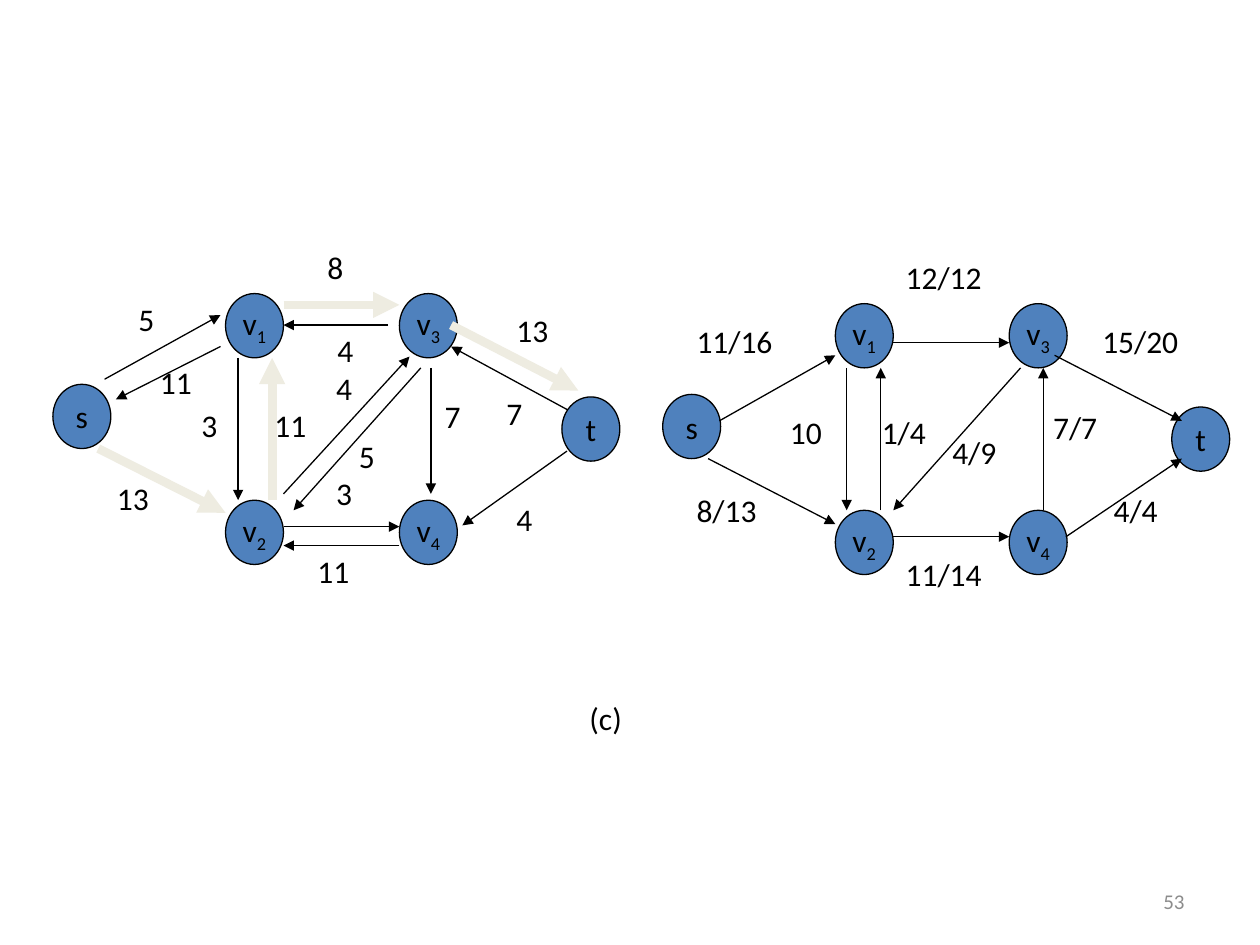
from lxml.etree import SubElement
from pptx import Presentation
from pptx.dml.color import RGBColor
from pptx.enum.shapes import MSO_CONNECTOR, MSO_SHAPE
from pptx.enum.text import MSO_ANCHOR, PP_ALIGN
from pptx.oxml.ns import qn
from pptx.util import Inches, Pt

BLACK = RGBColor(0x00, 0x00, 0x00)
BLUE = RGBColor(0x4F, 0x81, 0xBD)
CREAM = RGBColor(0xEE, 0xEC, 0xE1)
GREY = RGBColor(0x8C, 0x8C, 0x8C)

presentation = Presentation()
presentation.slide_width = Inches(10)
presentation.slide_height = Inches(7.5)
slide = presentation.slides.add_slide(presentation.slide_layouts[6])


def format_run(run, size=18, color=BLACK):
    run.font.name = "Calibri"
    run.font.size = Pt(size)
    run.font.color.rgb = color


def add_arrow(start_x, start_y, end_x, end_y, color, width):
    arrow = slide.shapes.add_connector(
        MSO_CONNECTOR.STRAIGHT,
        Inches(start_x), Inches(start_y), Inches(end_x), Inches(end_y))
    arrow.line.color.rgb = color
    arrow.line.width = Pt(width)
    SubElement(arrow.line._get_or_add_ln(), qn("a:tailEnd"), type="triangle")
    SubElement(arrow._element.spPr, qn("a:effectLst"))


nodes = [
    ("s", "", 0.42, 3.05),
    ("v", "2", 1.79, 3.97),
    ("v", "4", 3.17, 3.97),
    ("t", "", 4.46, 3.15),
    ("v", "3", 3.17, 2.33),
    ("v", "1", 1.79, 2.33),
]
for graph_x, graph_y in [(0, 0), (4.84, 0.08)]:
    for name, index, left, top in nodes:
        node = slide.shapes.add_shape(
            MSO_SHAPE.OVAL, Inches(graph_x + left), Inches(graph_y + top),
            Inches(0.46), Inches(0.51))
        node.shadow.inherit = False
        node.fill.solid()
        node.fill.fore_color.rgb = BLUE
        node.line.color.rgb = BLACK
        node.line.width = Pt(0.75)
        node.text_frame.word_wrap = False
        node.text_frame.vertical_anchor = MSO_ANCHOR.MIDDLE
        paragraph = node.text_frame.paragraphs[0]
        paragraph.alignment = PP_ALIGN.CENTER
        run = paragraph.add_run()
        run.text = name
        format_run(run)
        if index:
            run = paragraph.add_run()
            run.text = index
            format_run(run)
            run.font._element.set("baseline", "-25000")

residual_edges = [
    (0.83, 3.01, 1.75, 2.5),
    (2.25, 4.18, 3.17, 4.18),
    (1.89, 2.84, 1.89, 3.97),
    (3.34, 2.92, 2.33, 4.05),
    (1.75, 2.75, 0.92, 3.17),
    (3.08, 2.58, 2.25, 2.58),
    (2.25, 3.92, 3.25, 2.83),
    (3.17, 4.33, 2.25, 4.33),
    (3.42, 2.92, 3.42, 3.92),
    (4.5, 3.58, 3.67, 4.17),
    (4.5, 3.25, 3.58, 2.75),
]
augmenting_path = [
    (0.78, 3.56, 1.79, 4.07),
    (2.16, 3.97, 2.16, 2.84),
    (2.25, 2.42, 3.17, 2.42),
    (3.58, 2.58, 4.59, 3.1),
]
flow_edges = [
    (5.71, 3.34, 6.63, 2.82),
    (7.09, 2.72, 8.01, 2.72),
    (8.37, 2.82, 9.38, 3.34),
    (5.62, 3.64, 6.63, 4.16),
    (7.09, 4.26, 8.01, 4.26),
    (8.46, 4.26, 9.38, 3.64),
    (6.72, 2.92, 6.72, 4.05),
    (6.99, 4.05, 6.99, 2.92),
    (8.28, 4.05, 8.28, 2.92),
    (8.1, 2.92, 7.09, 4.05),
]
for edge in residual_edges + flow_edges:
    add_arrow(*edge, BLACK, 0.75)
for edge in augmenting_path:
    add_arrow(*edge, CREAM, 5)

residual_labels = [
    ("5", 2.75, 3.42), ("5", 1, 2.33), ("13", 0.83, 3.75), ("8", 2.5, 1.92),
    ("3", 1.5, 3.17), ("11", 2.08, 3.17), ("4", 4, 3.92), ("7", 3.43, 3.1),
    ("11", 2.42, 4.33), ("11", 1.17, 2.83), ("4", 2.58, 2.58),
    ("4", 2.57, 2.88), ("3", 2.57, 3.71), ("13", 4, 2.42), ("7", 3.92, 3.08),
]
flow_labels = [
    ("4/9", 7.46, 3.39), ("11/16", 5.43, 2.51), ("8/13", 5.43, 3.85),
    ("12/12", 7.09, 2), ("10", 6.17, 3.23), ("1/4", 6.9, 3.23),
    ("15/20", 8.65, 2.51), ("4/4", 8.74, 3.85), ("7/7", 8.26, 3.19),
    ("11/14", 7.09, 4.36),
]
caption = ("(c)", 4.58, 5.5)
for text, left, top in residual_labels + flow_labels + [caption]:
    width = 0.2 + sum(0.16 if letter.isdigit() else 0.12 for letter in text)
    label = slide.shapes.add_textbox(
        Inches(left), Inches(top), Inches(width), Inches(0.5))
    label.text_frame.word_wrap = False
    label.text_frame.text = text
    format_run(label.text_frame.paragraphs[0].runs[0])

page_number = slide.shapes.add_textbox(
    Inches(7.17), Inches(6.95), Inches(2.33), Inches(0.4))
page_number.text_frame.word_wrap = True
page_number.text_frame.vertical_anchor = MSO_ANCHOR.MIDDLE
page_number.text_frame.text = "53"
paragraph = page_number.text_frame.paragraphs[0]
paragraph.alignment = PP_ALIGN.RIGHT
format_run(paragraph.runs[0], 12, GREY)

presentation.save("out.pptx")
